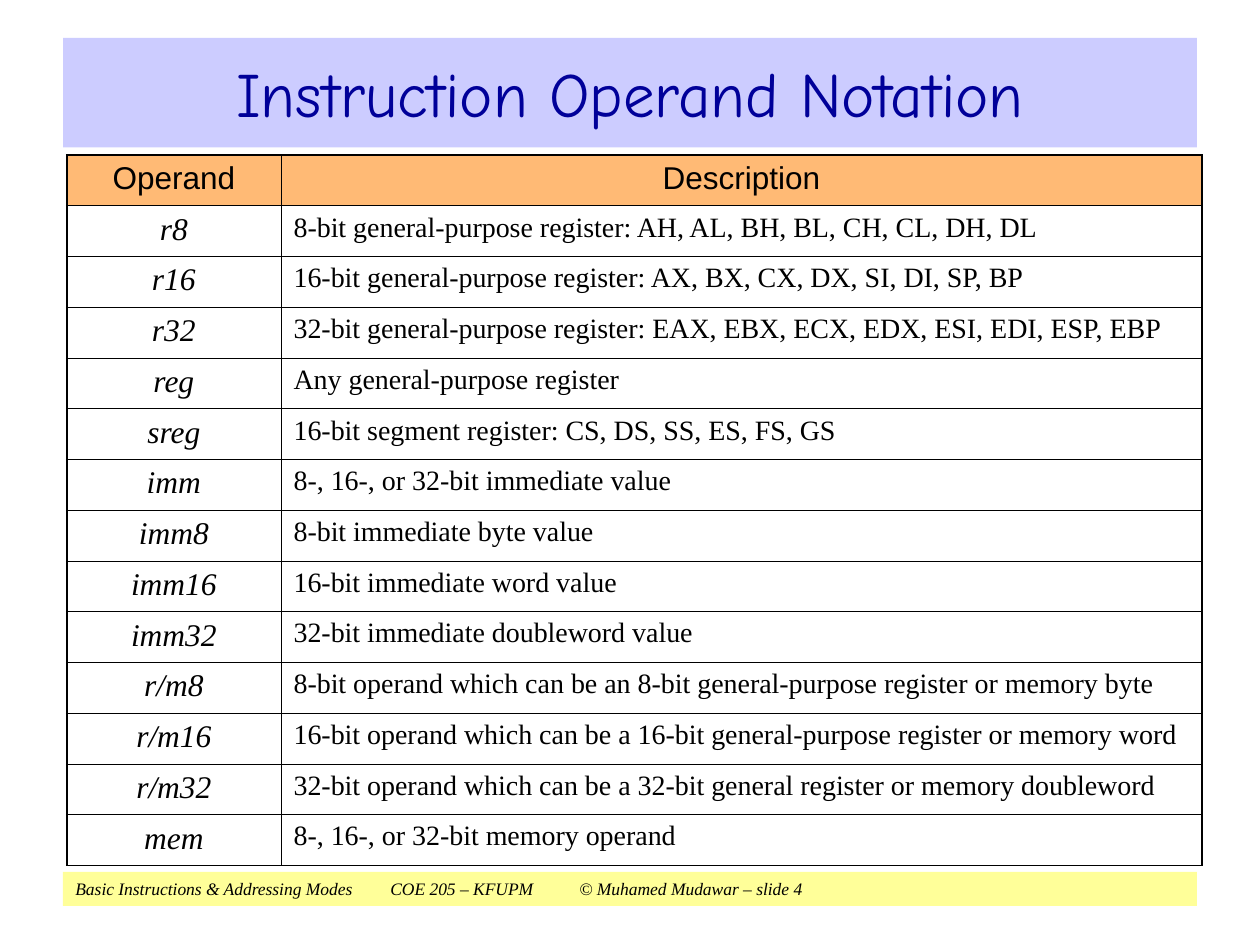
from lxml.etree import SubElement
from pptx import Presentation
from pptx.dml.color import RGBColor
from pptx.enum.shapes import MSO_SHAPE
from pptx.enum.text import MSO_ANCHOR, PP_ALIGN
from pptx.oxml import parse_xml
from pptx.oxml.ns import nsdecls, qn
from pptx.util import Inches, Pt

TITLE = "Instruction Operand Notation"
FOOTER = "Basic Instructions & Addressing Modes\tCOE 205 – KFUPM\t© Muhamed Mudawar – slide 4"
TABS = [3, 5]
ROWS = [
    ("Operand", "Description"),
    ("r8", "8-bit general-purpose register: AH, AL, BH, BL, CH, CL, DH, DL"),
    ("r16", "16-bit general-purpose register: AX, BX, CX, DX, SI, DI, SP, BP"),
    ("r32", "32-bit general-purpose register: EAX, EBX, ECX, EDX, ESI, EDI, ESP, EBP"),
    ("reg", "Any general-purpose register"),
    ("sreg", "16-bit segment register: CS, DS, SS, ES, FS, GS"),
    ("imm", "8-, 16-, or 32-bit immediate value"),
    ("imm8", "8-bit immediate byte value"),
    ("imm16", "16-bit immediate word value"),
    ("imm32", "32-bit immediate doubleword value"),
    ("r/m8", "8-bit operand which can be an 8-bit general-purpose register or memory byte"),
    ("r/m16", "16-bit operand which can be a 16-bit general-purpose register or memory word"),
    ("r/m32", "32-bit operand which can be a 32-bit general register or memory doubleword"),
    ("mem", "8-, 16-, or 32-bit memory operand"),
]
WIDTHS = [1.7, 7.31]
COLORS = {"title": "CCCCFF", "navy": "000099", "head": "FFBA75", "foot": "FFFF99", "black": "000000"}
SERIF = "Times New Roman"
FONTS = {
    "title": {"name": "Comic Neue", "size": Pt(36), "bold": False},
    "head": {"name": "Arial", "size": Pt(18), "bold": False, "italic": False},
    "term": {"name": SERIF, "size": Pt(18), "bold": False, "italic": True},
    "text": {"name": SERIF, "size": Pt(16), "bold": False, "italic": False},
    "foot": {"name": SERIF, "size": Pt(10), "bold": False, "italic": True},
}
THICK, THIN = 1.08, 0.45


def paint(fill, color):
    fill.solid()
    fill.fore_color.rgb = RGBColor.from_string(COLORS[color])


def write(frame, text, style, align, color="black"):
    frame.text = text
    par = frame.paragraphs[0]
    par.alignment = align
    font = par.runs[0].font
    for key, value in FONTS[style].items():
        setattr(font, key, value)
    font.color.rgb = RGBColor.from_string(COLORS[color])


def edge(cell, sides):
    props = cell._tc.get_or_add_tcPr()
    for spot, (side, width) in enumerate(sides.items()):
        line = parse_xml(
            f'<a:ln{side} {nsdecls("a")} w="{Pt(width)}"><a:solidFill>'
            f'<a:srgbClr val="{COLORS["black"]}"/></a:solidFill></a:ln{side}>'
        )
        props.insert(spot, line)


def add_title(slide):
    title = slide.shapes.title
    title.left, title.top, title.width, title.height = map(Inches, (0.5, 0.3, 9, 0.87))
    paint(title.fill, "title")
    write(title.text_frame, TITLE, "title", PP_ALIGN.CENTER, "navy")
    title.text_frame.vertical_anchor = MSO_ANCHOR.MIDDLE


def add_grid(slide):
    last = len(ROWS) - 1
    frame = slide.shapes.add_table(
        len(ROWS), len(WIDTHS), Inches(0.53), Inches(1.23), Inches(sum(WIDTHS)), Inches(5.64)
    )
    table = frame.table
    table.first_row = table.horz_banding = False
    for col, width in zip(table.columns, WIDTHS):
        col.width = Inches(width)
    for r, row in enumerate(ROWS):
        for c, text in enumerate(row):
            cell = table.cell(r, c)
            style = "head" if r == 0 else ("term", "text")[c]
            align = PP_ALIGN.LEFT if style == "text" else PP_ALIGN.CENTER
            write(cell.text_frame, text, style, align)
            if r == 0:
                paint(cell.fill, "head")
            else:
                cell.fill.background()
            edge(cell, {
                "L": THICK if c == 0 else THIN,
                "R": THICK if c == 1 else THIN,
                "T": THICK if r == 0 else THIN,
                "B": THICK if r == last else THIN,
            })


def add_footer(slide):
    bar = slide.shapes.add_shape(
        MSO_SHAPE.RECTANGLE, Inches(0.5), Inches(6.92), Inches(9), Inches(0.27)
    )
    bar.shadow.inherit = False
    paint(bar.fill, "foot")
    bar.line.fill.background()
    frame = bar.text_frame
    frame.word_wrap = True
    frame.vertical_anchor = MSO_ANCHOR.TOP
    frame.text = FOOTER
    props = frame.paragraphs[0]._p.get_or_add_pPr()
    stops = SubElement(props, qn("a:tabLst"))
    for stop in TABS:
        SubElement(stops, qn("a:tab"), pos=str(Inches(stop)), algn="l")
    write(frame, FOOTER, "foot", PP_ALIGN.LEFT)


def main():
    deck = Presentation()
    deck.slide_width, deck.slide_height = Inches(10), Inches(7.5)
    slide = deck.slides.add_slide(deck.slide_layouts[5])
    add_title(slide)
    add_grid(slide)
    add_footer(slide)
    deck.save("out.pptx")


if __name__ == "__main__":
    main()
